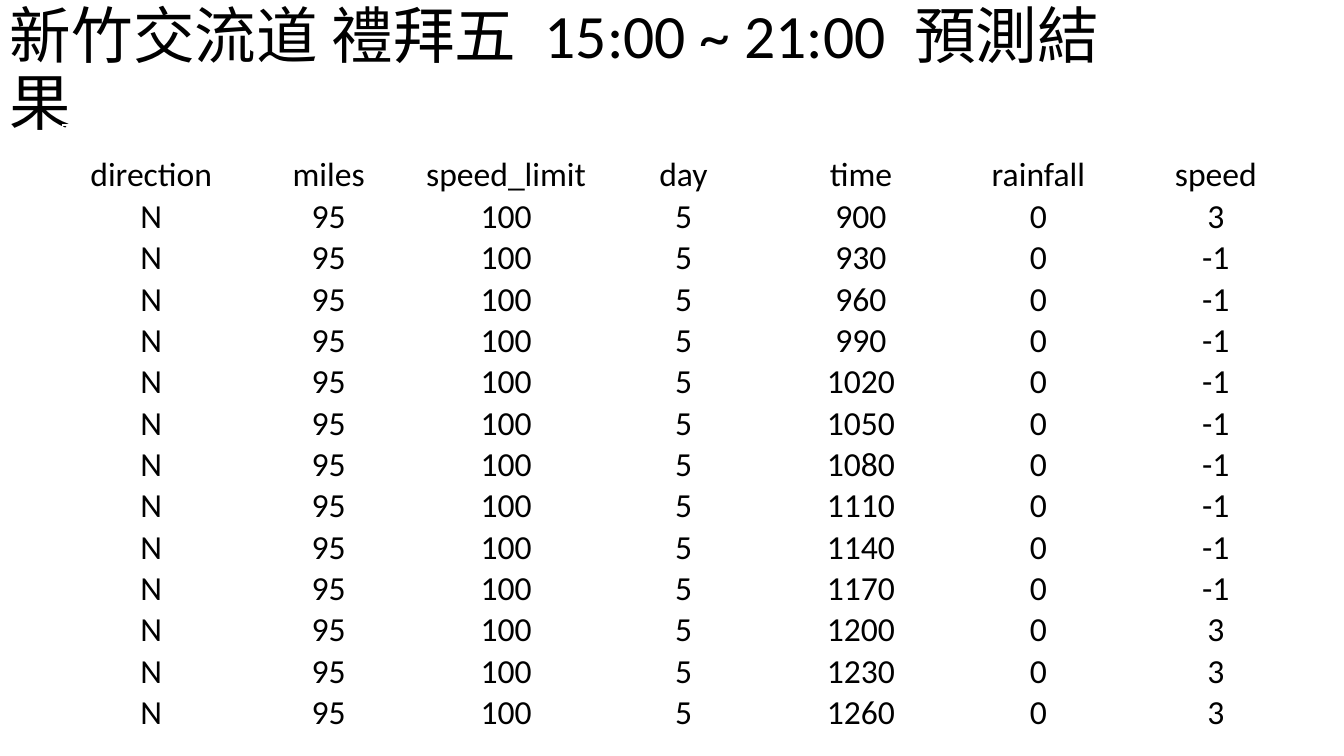
from pptx import Presentation
from pptx import util as u
from pptx.dml.color import RGBColor
from pptx.enum import text

BLACK = RGBColor(0, 0, 0)
PX = u.Inches(1) // 100
HEADINGS = ["direction", "miles", "speed_limit", "day", "time", "rainfall", "speed"]
SPEEDS = [3] + [-1] * 9 + [3] * 3
START_MINUTE = 900
STEP_MINUTES = 30


class SlideBuilder:
    font = "Calibri"
    color = BLACK

    def __init__(self, page):
        self.page = page

    def add_span(self, para, words, size):
        span = para.add_run()
        span.text = words
        span.font.name = self.font
        span.font.size = u.Pt(size)
        span.font.color.rgb = self.color

    def title(self, words, left, top, width, height):
        box = self.page.shapes.add_textbox(left * PX, top * PX, width * PX, height * PX)
        frame = box.text_frame
        frame.word_wrap = True
        frame.vertical_anchor = text.MSO_ANCHOR.MIDDLE
        para = frame.paragraphs[0]
        para.line_spacing = 0.9
        self.add_span(para, words, 44)

    def table(self, rows, left, top, column_width, heading_height, row_height):
        column_count = len(rows[0])
        height = heading_height + row_height * (len(rows) - 1)
        table = self.page.shapes.add_table(
            len(rows), column_count, left * PX, top * PX,
            column_width * column_count * PX, height * PX).table
        table.first_row = False
        table.horz_banding = False
        for column in table.columns:
            column.width = column_width * PX
        for index, (row, values) in enumerate(zip(table.rows, rows)):
            row.height = (row_height if index else heading_height) * PX
            for cell, value in zip(row.cells, values):
                self.cell(cell, str(value))

    def cell(self, cell, words):
        cell.fill.background()
        cell.vertical_anchor = text.MSO_ANCHOR.BOTTOM
        cell.margin_left = cell.margin_top = cell.margin_right = PX
        cell.margin_bottom = 0
        para = cell.text_frame.paragraphs[0]
        para.alignment = text.PP_ALIGN.CENTER
        self.add_span(para, words, 24)


def main():
    deck = Presentation()
    deck.slide_width = 1333 * PX
    deck.slide_height = 750 * PX
    builder = SlideBuilder(deck.slides.add_slide(deck.slide_layouts[6]))
    builder.title("新竹交流道 禮拜五  15:00 ~ 21:00  預測結果", 0, -1, 1150, 145)
    forecasts = [["N", 95, 100, 5, START_MINUTE + STEP_MINUTES * index, 0, speed]
                 for index, speed in enumerate(SPEEDS)]
    builder.table([HEADINGS] + forecasts, 62, 124, 176, 70, 39)
    deck.save("out.pptx")


if __name__ == "__main__":
    main()
